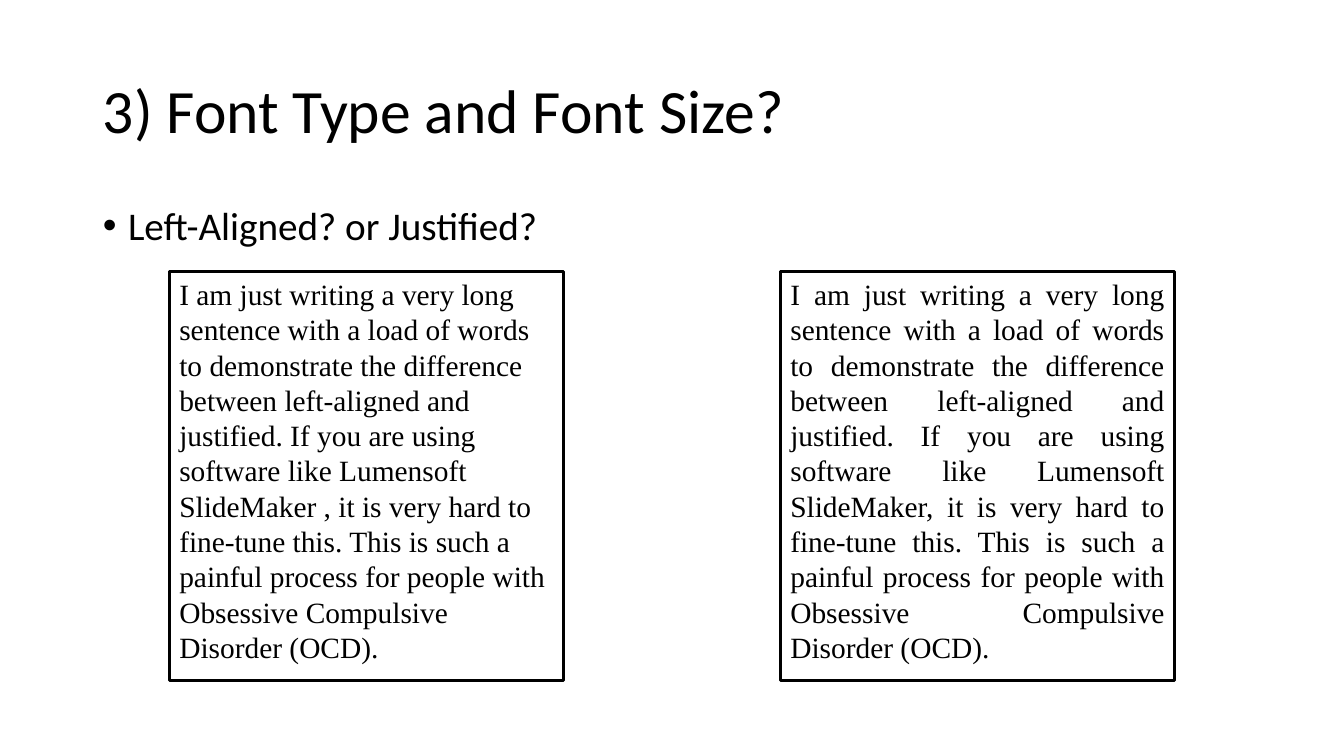
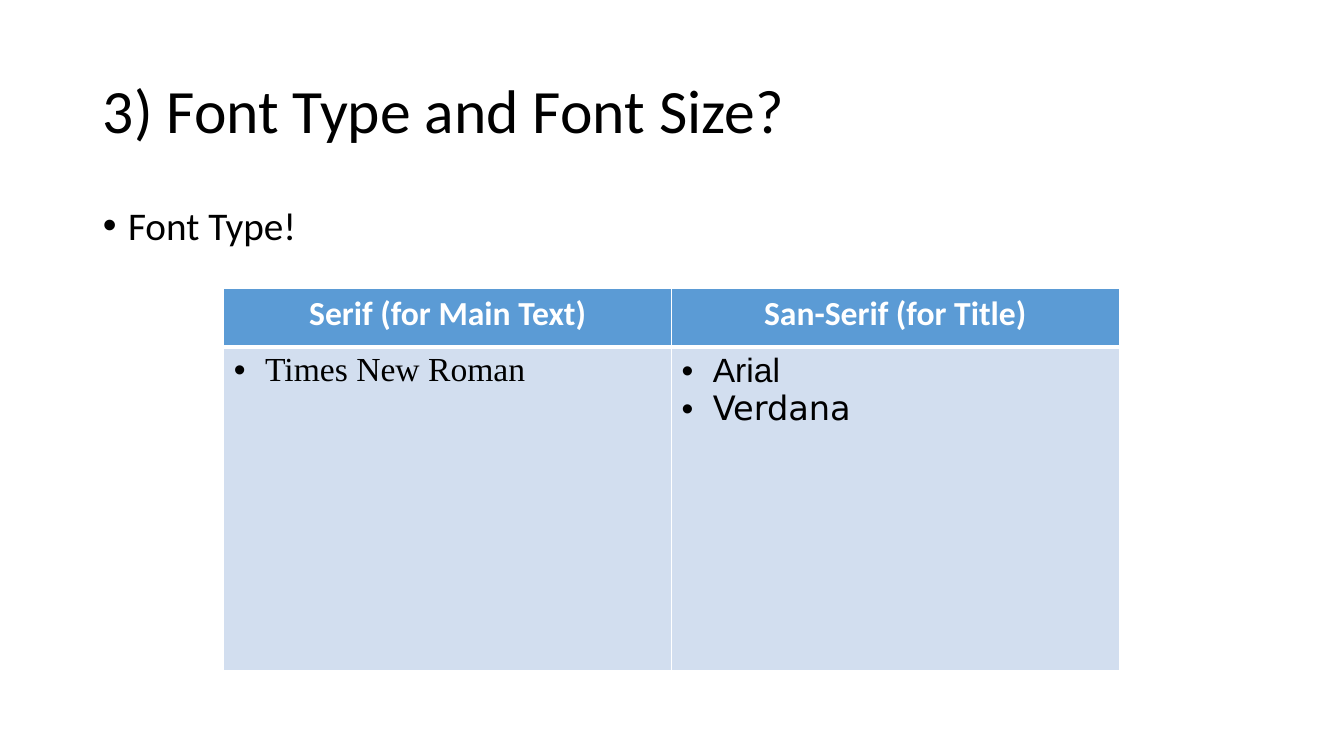
import pptx
import pptx.dml.color
import pptx.enum.shapes
import pptx.enum.text
import pptx.oxml
import pptx.oxml.ns
import pptx.util

Inches = pptx.util.Inches
Pt = pptx.util.Pt
RGBColor = pptx.dml.color.RGBColor
PP_ALIGN = pptx.enum.text.PP_ALIGN
MSO_ANCHOR = pptx.enum.text.MSO_ANCHOR

BLACK = RGBColor(0x00, 0x00, 0x00)
WHITE = RGBColor(0xFF, 0xFF, 0xFF)
HEADER_BLUE = RGBColor(0x5B, 0x9B, 0xD5)
CELL_BLUE = RGBColor(0xD2, 0xDE, 0xEF)

TITLE = "3) Font Type and Font Size?"
SAMPLE = (
    "I am just writing a very long sentence with a load of words to demonstrate "
    "the difference between left-aligned and justified. If you are using software "
    "like Lumensoft SlideMaker{}, it is very hard to fine-tune this. This is such a "
    "painful process for people with Obsessive Compulsive Disorder (OCD)."
)


def style(para, font, size, color=BLACK, bold=False, bullet_indent=None):
    """Format the runs of a paragraph and, given an indent, hang a bullet in it."""
    for span in para.runs:
        span.font.name = font
        span.font.size = Pt(size)
        span.font.color.rgb = color
        span.font.bold = bold
    if bullet_indent:
        properties = para._p.get_or_add_pPr()
        properties.set("marL", str(Inches(bullet_indent)))
        properties.set("indent", str(-Inches(bullet_indent)))
        for tag, name, value in (("a:buFont", "typeface", "Arial"), ("a:buChar", "char", "•")):
            bullet = pptx.oxml.parse_xml(f'<{tag} {pptx.oxml.ns.nsdecls("a")} {name}="{value}"/>')
            properties.append(bullet)


def add_page(deck, topic):
    page = deck.slides.add_slide(deck.slide_layouts[1])
    title, body = page.placeholders
    title.text_frame.text = TITLE
    title.text_frame.vertical_anchor = MSO_ANCHOR.MIDDLE
    body.text_frame.text = topic
    for box, top, height, size, indent in ((title, 0.4, 1.45, 44, None), (body, 2, 4.76, 28, 0.25)):
        box.left, box.top = Inches(0.92), Inches(top)
        box.width, box.height = Inches(11.5), Inches(height)
        para = box.text_frame.paragraphs[0]
        para.alignment = PP_ALIGN.LEFT
        para.line_spacing = 0.9
        para.space_before = Pt(10 if indent else 0)
        style(para, "Calibri", size, bullet_indent=indent)
    return page


deck = pptx.Presentation()
deck.slide_width = Inches(13.33)
deck.slide_height = Inches(7.5)

# Alignment
page = add_page(deck, "Left-Aligned? or Justified?")
for left, alignment, gap in ((1.68, PP_ALIGN.LEFT, " "), (7.74, PP_ALIGN.JUSTIFY, "")):
    box = page.shapes.add_shape(
        pptx.enum.shapes.MSO_SHAPE.RECTANGLE,
        Inches(left), Inches(2.69), Inches(3.91), Inches(4.06),
    )
    box.shadow.inherit = False
    box.fill.background()
    box.line.color.rgb = BLACK
    box.line.width = Pt(2.25)
    box.text_frame.word_wrap = True
    box.text_frame.vertical_anchor = MSO_ANCHOR.TOP
    box.text_frame.text = SAMPLE.format(gap)
    para = box.text_frame.paragraphs[0]
    para.alignment = alignment
    style(para, "Times New Roman", 21)

# Font types
page = add_page(deck, "Font Type!")
columns = (
    ("Serif (for Main Text)", (("Times New Roman", "Times New Roman"),)),
    ("San-Serif (for Title)", (("Arial", "Arial"), ("Verdana", "DejaVu Sans"))),
)
table = page.shapes.add_table(
    2, len(columns), Inches(2.22), Inches(2.86), Inches(8.88), Inches(3.79)
).table
table.rows[0].height = Inches(0.58)
table.rows[1].height = Inches(3.21)

for index, (heading, examples) in enumerate(columns):
    table.columns[index].width = Inches(4.44)
    header, cell = table.cell(0, index), table.cell(1, index)
    header.text_frame.text = heading
    header.text_frame.paragraphs[0].alignment = PP_ALIGN.CENTER
    style(header.text_frame.paragraphs[0], "Calibri", 24, WHITE, bold=True)
    cell.text_frame.text = "\n".join(name for name, font in examples)
    for para, (name, font) in zip(cell.text_frame.paragraphs, examples):
        style(para, font, 24, bullet_indent=0.31)

    for part, color in ((header, HEADER_BLUE), (cell, CELL_BLUE)):
        part.fill.solid()
        part.fill.fore_color.rgb = color
        properties = part._tc.get_or_add_tcPr()
        for position, side in enumerate(("lnL", "lnR", "lnT", "lnB")):
            # The rule between header and body is heavier than the others.
            heavy = (part is header and side == "lnB") or (part is cell and side == "lnT")
            border = pptx.oxml.parse_xml(
                f'<a:{side} {pptx.oxml.ns.nsdecls("a")} w="{Pt(3 if heavy else 1)}">'
                f'<a:solidFill><a:srgbClr val="{WHITE}"/></a:solidFill></a:{side}>'
            )
            properties.insert(position, border)

deck.save("out.pptx")
